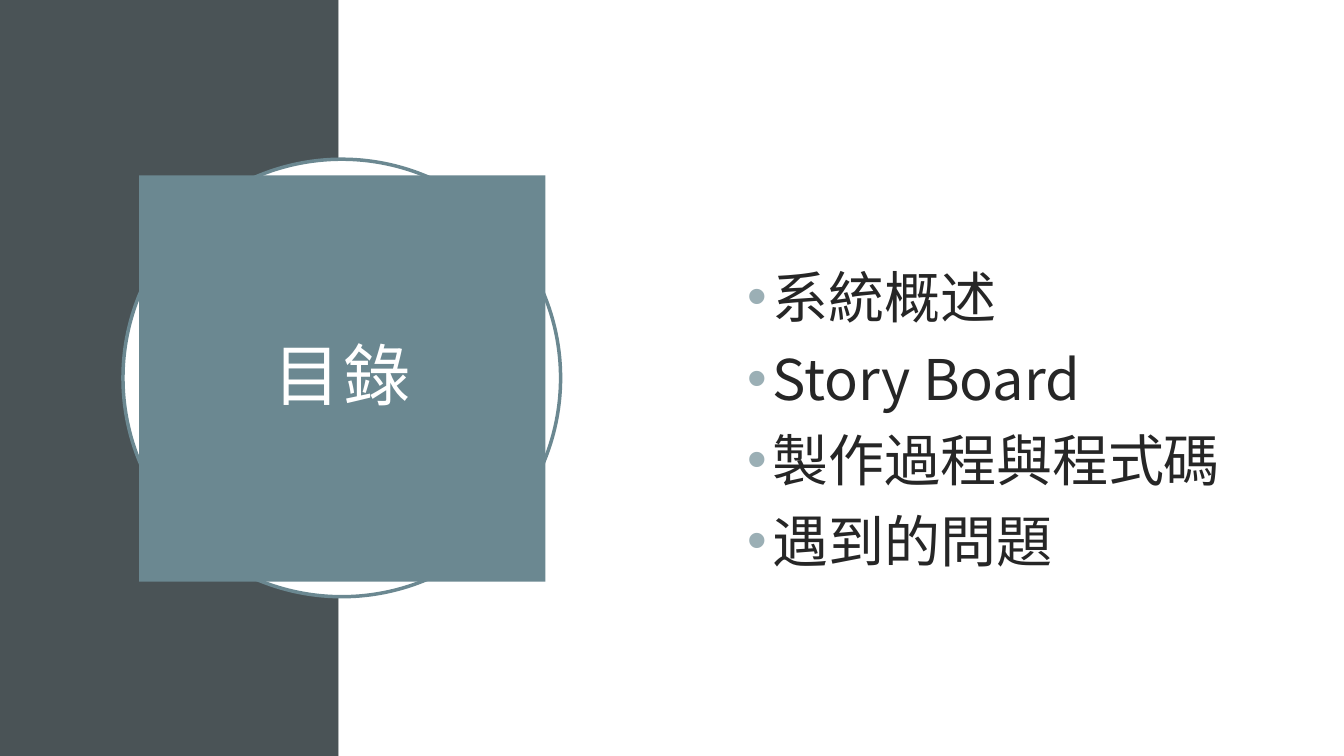
from dataclasses import dataclass
from typing import Optional

from lxml.etree import SubElement
from pptx import Presentation
from pptx.dml.color import RGBColor
from pptx.enum.shapes import MSO_SHAPE
from pptx.enum.text import MSO_ANCHOR, MSO_AUTO_SIZE, PP_ALIGN
from pptx.oxml.ns import qn
from pptx.util import Emu, Pt

SCALE = 9144  # EMU in one px, 100 px to the inch
LATIN = "Calibri"
CJK = "Noto Sans CJK TC"
TEAL = "6B8891"
WHITE = "FFFFFF"


@dataclass
class Panel:
    kind: MSO_SHAPE
    box: tuple[int, int, int, int]
    fill: str
    line: Optional[str] = None


PANELS = [
    Panel(MSO_SHAPE.RECTANGLE, (0, 0, 336, 750), "4A5356"),
    Panel(MSO_SHAPE.RECTANGLE, (336, 0, 997, 750), WHITE),
    Panel(MSO_SHAPE.OVAL, (122, 158, 434, 434), WHITE, TEAL),
]
TOPICS = [("系統概述", LATIN), ("Story Board", CJK),
          ("製作過程與程式碼", CJK), ("遇到的問題", CJK)]


def px(n: int) -> Emu:
    return Emu(n * SCALE)


def paint(fmt, color: str) -> None:
    """Give a fill a solid colour."""
    fmt.solid()
    fmt.fore_color.rgb = RGBColor.from_string(color)


def place(shape, box: tuple[int, int, int, int]) -> None:
    shape.left, shape.top, shape.width, shape.height = map(px, box)


def inset(frame, left: int, top: int, right: int, bottom: int) -> None:
    frame.margin_left, frame.margin_top = px(left), px(top)
    frame.margin_right, frame.margin_bottom = px(right), px(bottom)
    frame.vertical_anchor = MSO_ANCHOR.MIDDLE
    frame.auto_size = MSO_AUTO_SIZE.NONE
    frame.word_wrap = True


def draw(slide, panel: Panel) -> None:
    shape = slide.shapes.add_shape(panel.kind, *map(px, panel.box))
    shape.shadow.inherit = False
    paint(shape.fill, panel.fill)
    if panel.line:
        paint(shape.line.fill, panel.line)
        shape.line.width = Pt(2.5)
    else:
        shape.line.fill.background()


def bullet(para, color: str) -> None:
    props = para._p.get_or_add_pPr()
    props.set("marL", str(px(50)))
    props.set("indent", str(px(-25)))
    tint = SubElement(props, qn("a:buClr"))
    SubElement(tint, qn("a:srgbClr"), val=color)
    SubElement(props, qn("a:buFont"), typeface="Arial")
    SubElement(props, qn("a:buChar"), char="•")


def write(para, text: str, *, size: int, color: str, face: str = LATIN,
          align=PP_ALIGN.LEFT, leading=None, before: int = 0,
          track: int = 0) -> None:
    """Add a formatted run, with track as letter spacing in points."""
    para.alignment = align
    para.line_spacing = leading
    para.space_before = Pt(before)
    run = para.add_run()
    run.text = text
    font = run.font
    font.size = Pt(size)
    font.name = face
    paint(font.fill, color)
    props = run._r.get_or_add_rPr()
    SubElement(props, qn("a:ea"), typeface=CJK)
    if track:
        props.set("spc", str(track * 100))


def head(slide) -> None:
    title = slide.shapes.title
    slide.shapes._spTree.append(title._element)  # in front of the panels
    place(title, (138, 174, 403, 403))
    paint(title.fill, TEAL)
    inset(title.text_frame, 20, 20, 20, 20)
    write(title.text_frame.paragraphs[0], "目錄", size=48, color=WHITE,
          align=PP_ALIGN.CENTER, leading=0.9, track=2)


def agenda(slide) -> None:
    box = slide.shapes.add_textbox(*map(px, (597, 95, 736, 560)))
    frame = box.text_frame
    inset(frame, 119, 85, 10, 5)
    for i, (topic, face) in enumerate(TOPICS):
        para = frame.add_paragraph() if i else frame.paragraphs[0]
        bullet(para, "9BAFB5")
        write(para, topic, size=40, color="262626", face=face,
              leading=Pt(48), before=10 if i else 0)


def main() -> None:
    deck = Presentation()
    deck.slide_width, deck.slide_height = px(1333), px(750)
    slide = deck.slides.add_slide(deck.slide_layouts.get_by_name("Title Only"))
    paint(slide.background.fill, WHITE)
    for panel in PANELS:
        draw(slide, panel)
    head(slide)
    agenda(slide)
    deck.save("out.pptx")


if __name__ == "__main__":
    main()
